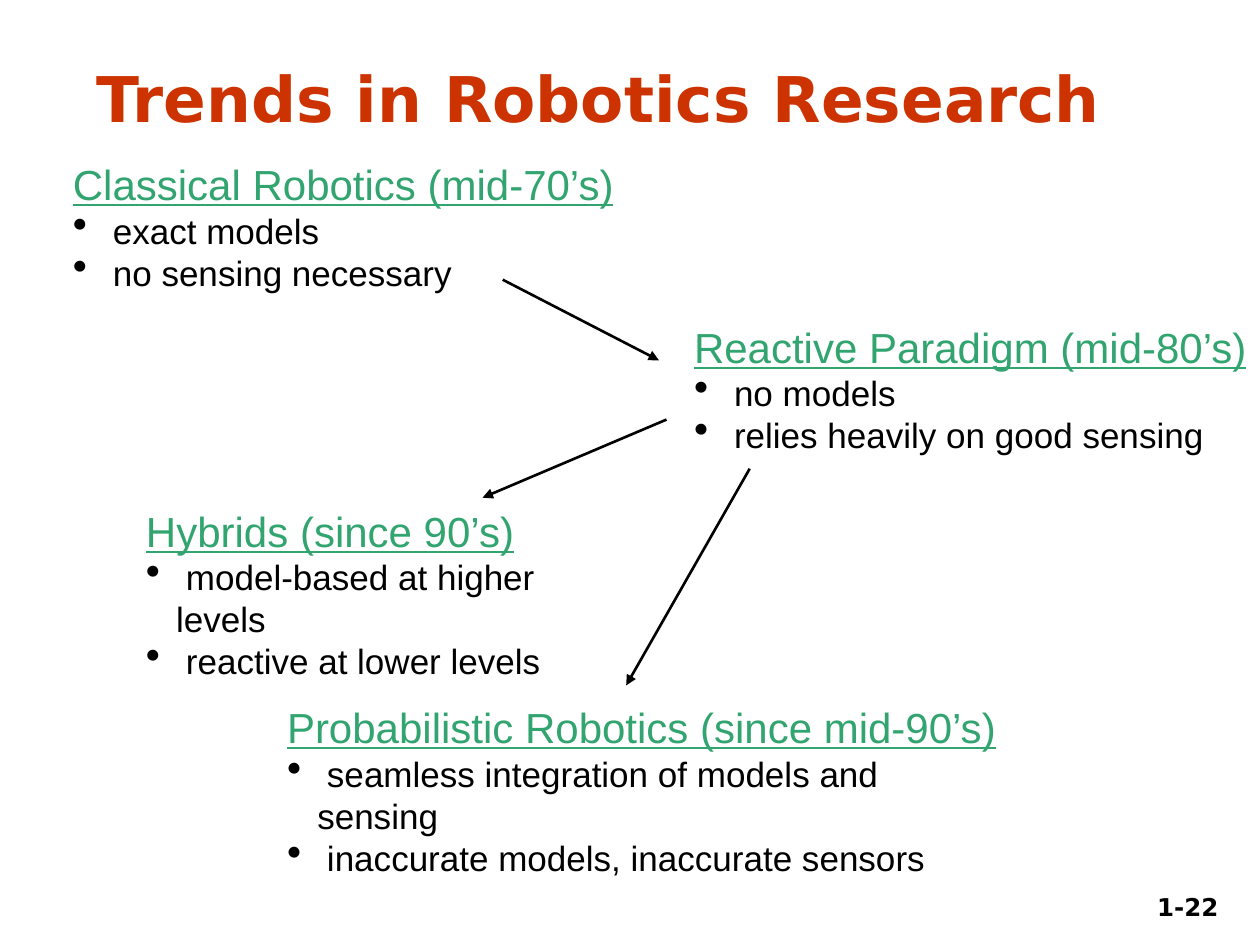
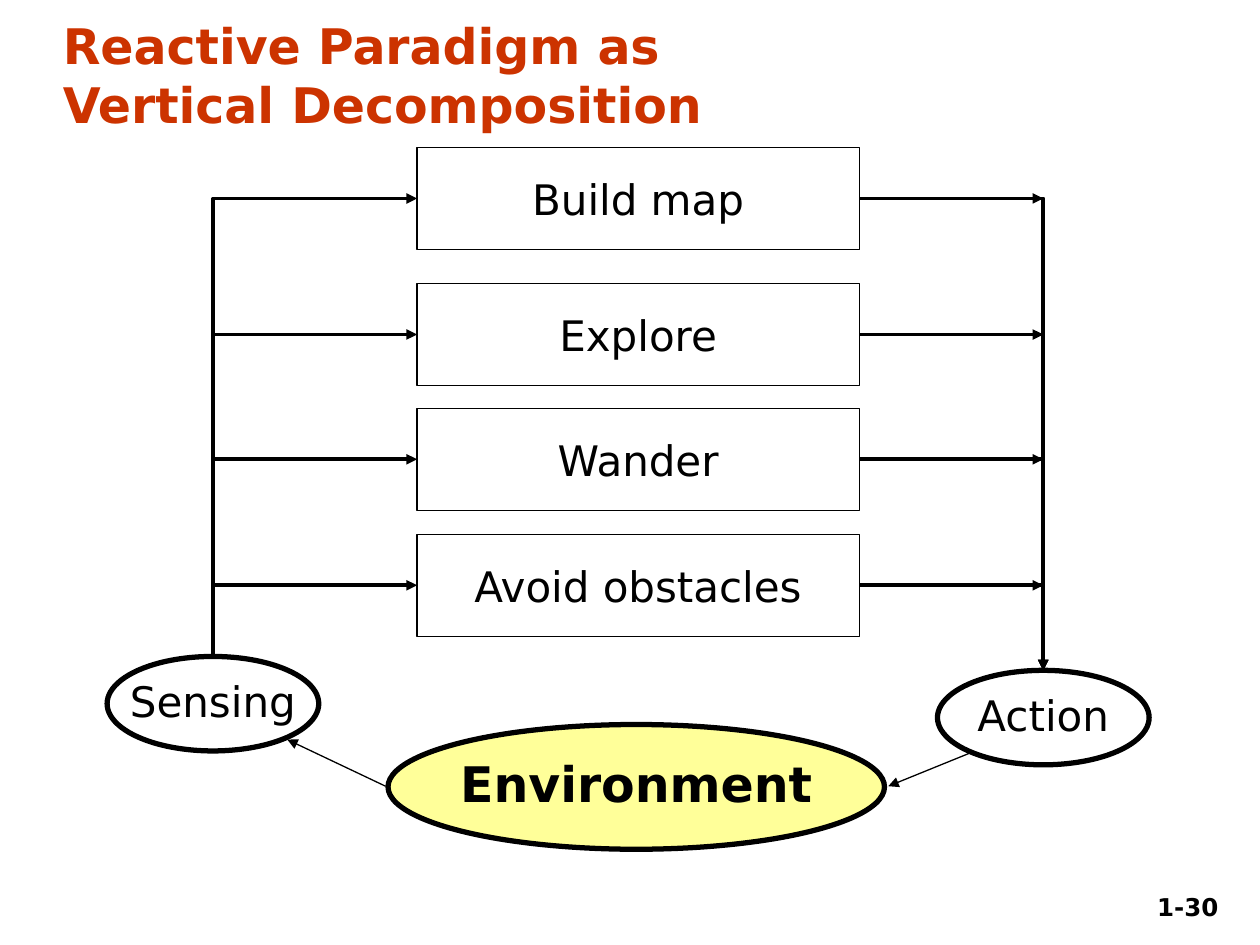
from pptx import Presentation
from pptx.dml.color import RGBColor
from pptx.enum.shapes import MSO_CONNECTOR as Route, MSO_SHAPE as Preset
from pptx.enum.text import MSO_ANCHOR as Anchor, PP_ALIGN as Align
from pptx.oxml.ns import qn
from pptx.util import Inches, Pt
from lxml.etree import SubElement

WIDTH, HEIGHT = Inches(10), Inches(7.5)
COLUMNS, ROWS = 100, 75
TOP, LEFT, RIGHT = 0, 1, 3


def color(hex_string):
    return RGBColor.from_string(hex_string)


class Deck:
    """Holds the lecture style and the slide being filled; lengths are grid columns and rows."""

    title_font, body_font = "DejaVu Sans", "Arial"
    ink, paper, title_ink = "000000", "FFFFFF", "CC3300"
    heading_ink, highlight = "32A470", "FFFF99"

    def __init__(self):
        self.prs = Presentation()
        self.prs.slide_width, self.prs.slide_height = WIDTH, HEIGHT
        self.slide = None

    def place(self, columns, rows):
        return round(WIDTH * columns / COLUMNS), round(HEIGHT * rows / ROWS)

    def new_slide(self, number, title_lines, title_area, title_size):
        self.slide = self.prs.slides.add_slide(self.prs.slide_layouts[6])
        fill = self.slide.background.fill
        fill.solid()
        fill.fore_color.rgb = color(self.paper)
        title = self.text_box(title_area, Anchor.BOTTOM).paragraphs[0]
        for i, line in enumerate(title_lines):
            if i:
                title.add_line_break()
            self.run(title, line, title_size, self.title_ink, bold=True)
        page = self.text_box((86.7, 68.6, 11, 5), Anchor.BOTTOM).paragraphs[0]
        page.alignment = Align.RIGHT
        self.run(page, number, 14, bold=True)

    def run(self, paragraph, text, size, ink=None, font=None, bold=False, underline=False):
        run = paragraph.add_run()
        run.text = text
        run.font.name = font or self.title_font
        run.font.size = Pt(size)
        run.font.bold, run.font.underline = bold, underline
        run.font.color.rgb = color(ink or self.ink)

    def text_box(self, area, anchor=Anchor.TOP):
        frame = self.slide.shapes.add_textbox(
            *self.place(*area[:2]), *self.place(*area[2:])).text_frame
        frame.word_wrap = True
        frame.vertical_anchor = anchor
        return frame

    def topic(self, area, heading, points):
        """Underlined heading above bulleted points."""
        frame = self.text_box(area)
        frame.margin_right = Inches(0.06)
        self.run(frame.paragraphs[0], heading, 24, self.heading_ink,
                 self.body_font, underline=True)
        for point in points:
            paragraph = frame.add_paragraph()
            self.bullet(paragraph)
            self.run(paragraph, " " + point, 20, font=self.body_font)

    def bullet(self, paragraph):
        props = paragraph._p.get_or_add_pPr()
        hang = Inches(0.24)
        props.set("marL", str(hang))
        props.set("indent", str(-hang))
        SubElement(SubElement(props, qn("a:buClr")), qn("a:srgbClr"), val=self.ink)
        SubElement(props, qn("a:buSzPct"), val="120000")
        SubElement(props, qn("a:buChar"), char="•")

    def node(self, preset, area, label, line_width, fill=None, size=24, bold=False, spacing=None):
        shape = self.slide.shapes.add_shape(
            preset, *self.place(*area[:2]), *self.place(*area[2:]))
        shape.shadow.inherit = False
        shape.fill.solid()
        shape.fill.fore_color.rgb = color(fill or self.paper)
        shape.line.color.rgb = color(self.ink)
        shape.line.width = Pt(line_width)
        frame = shape.text_frame
        frame.word_wrap = False
        frame.vertical_anchor = Anchor.MIDDLE
        paragraph = frame.paragraphs[0]
        paragraph.alignment = Align.CENTER
        paragraph.line_spacing = spacing
        self.run(paragraph, label, size, bold=bold)
        return shape

    def oval(self, area, label, **style):
        return self.node(Preset.OVAL, area, label, 3, spacing=0.9, **style)

    def connector(self, start, end, width, route=Route.STRAIGHT, arrow="tailEnd"):
        """Join two ends; each is a grid point or a (shape, side) pair."""
        free = [(0, 0) if hasattr(e[0], "shape_id") else e for e in (start, end)]
        line = self.slide.shapes.add_connector(
            route, *self.place(*free[0]), *self.place(*free[1]))
        for point, join in ((start, line.begin_connect), (end, line.end_connect)):
            if hasattr(point[0], "shape_id"):
                join(*point)
        line.line.color.rgb = color(self.ink)
        line.line.width = Pt(width)
        props = line._element.spPr
        SubElement(props.find(qn("a:ln")), qn(f"a:{arrow}"), type="triangle")
        SubElement(props, qn("a:effectLst"))
        if route == Route.ELBOW:
            props.find(qn("a:prstGeom")).set("prst", "bentConnector2")


def trends(deck):
    deck.new_slide("1-22", ["Trends in Robotics Research"], (6.7, 4.2, 92.1, 7), 36)
    deck.topic((4.8, 12.1, 44.9, 11.7), "Classical Robotics (mid-70’s)",
               ["exact models", "no sensing necessary"])
    deck.topic((54.1, 25, 45.9, 11.7), "Reactive Paradigm (mid-80’s)",
               ["no models", "relies heavily on good sensing"])
    deck.topic((10.6, 39.6, 39.5, 15), "Hybrids (since 90’s)",
               ["model-based at higher levels", "reactive at lower levels"])
    deck.topic((21.8, 55.2, 58.3, 15), "Probabilistic Robotics (since mid-90’s)",
               ["seamless integration of models and sensing",
                "inaccurate models, inaccurate sensors"])
    for start, end in [((39.9, 22.2), (52.3, 28.6)),
                       ((52.9, 33.3), (38.3, 39.5)),
                       ((59.5, 37.2), (49.7, 54.4))]:
        deck.connector(start, end, 1.5)


def vertical_decomposition(deck):
    deck.new_slide("1-30", ["Reactive Paradigm as", "Vertical Decomposition"],
                   (4, 0.8, 94.8, 10.3), 28)
    sensing = deck.oval((8.5, 52.1, 16.8, 7.5), "Sensing")
    action = deck.oval((74.4, 53.2, 16.8, 7.5), "Action")
    deck.oval((30.8, 57.5, 39.4, 9.9), "Environment",
              fill=deck.highlight, size=28, bold=True)
    deck.connector((30.6, 62.4), (22.8, 58.7), 0.75)
    deck.connector((76.9, 59.8), (70.5, 62.4), 0.75)

    box_height = 8.1
    behaviors = {"Build map": 11.7, "Explore": 22.5, "Wander": 32.4, "Avoid obstacles": 42.4}
    for label, top in behaviors.items():
        behavior = deck.node(Preset.RECTANGLE, (33.1, top, 35.1, box_height), label, 0.75)
        deck.connector((behavior, LEFT), (sensing, TOP), 2, Route.ELBOW, "headEnd")
        deck.connector((behavior, RIGHT), (action, TOP), 2, Route.ELBOW)
        deck.connector((behavior, RIGHT), (82.8, top + box_height / 2), 2)


def main():
    deck = Deck()
    trends(deck)
    vertical_decomposition(deck)
    deck.prs.save("out.pptx")


if __name__ == "__main__":
    main()
